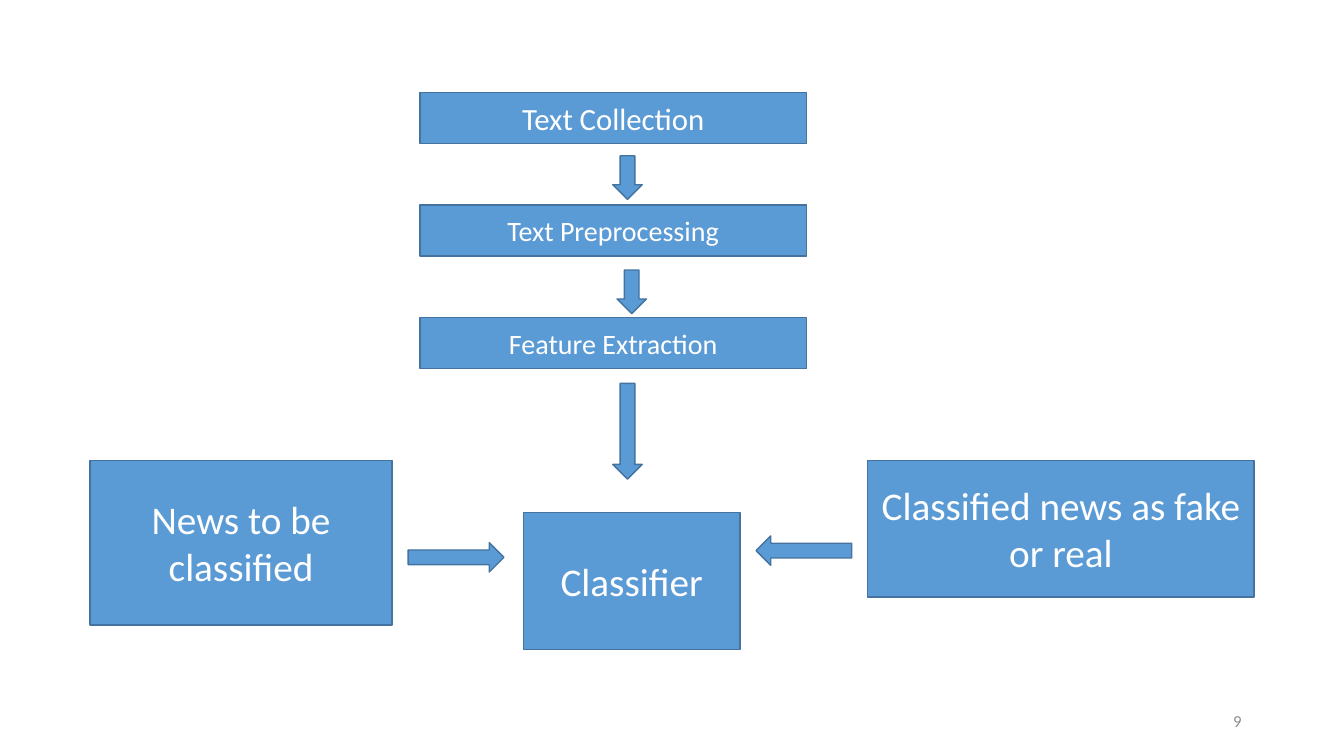
from pptx import Presentation
from pptx.dml.color import RGBColor
from pptx.enum.shapes import MSO_SHAPE as Shape
from pptx.enum.text import MSO_ANCHOR as Anchor, PP_ALIGN as Align
from pptx.util import Inches, Pt

BLUE = RGBColor(0x5B, 0x9B, 0xD5)
EDGE = RGBColor(0x43, 0x73, 0x9E)
WHITE = RGBColor(0xFF, 0xFF, 0xFF)
GRAY = RGBColor(0x8C, 0x8C, 0x8C)
COLS, ROWS = 160, 90
STAGES = [("Text Collection", 22), ("Text Preprocessing", 20), ("Feature Extraction", 20)]
BLOCKS = [
    ("Classified news as fake or real", (103.3, 54.8, 46, 16.3)),
    ("Classifier", (62.3, 61, 25.8, 16.3)),
    ("News to be classified", (10.7, 54.8, 36, 19.6)),
]
SHORT, LONG = 5.2, 11.4
ARROWS = [
    (72.1, 19.4, SHORT, 90),
    (69, 49.6, LONG, 90),
    (72.6, 33, SHORT, 90),
    (90, 63.8, LONG, 180),
    (48.6, 64.6, LONG, 0),
]


class Flow:
    """Draws flowchart parts on a grid of columns and rows."""

    def __init__(self, deck):
        self.font = "Calibri"
        self.col = deck.slide_width / COLS
        self.row = deck.slide_height / ROWS
        self.slide = deck.slides.add_slide(deck.slide_layouts[6])

    def area(self, x, y, w, h):
        """Turns grid cells into slide lengths."""
        return [round(n) for n in (x * self.col, y * self.row, w * self.col, h * self.row)]

    def label(self, shape, text, size, color, align):
        """Sets one line of styled text in a shape."""
        frame = shape.text_frame
        frame.word_wrap = True
        frame.vertical_anchor = Anchor.MIDDLE
        para = frame.paragraphs[0]
        para.alignment = align
        run = para.add_run()
        run.text = text
        run.font.name = self.font
        run.font.size = Pt(size)
        run.font.color.rgb = color

    def form(self, kind, cells):
        """Adds a blue shape with a thin edge."""
        shape = self.slide.shapes.add_shape(kind, *self.area(*cells))
        shape.shadow.inherit = False
        shape.fill.solid()
        shape.fill.fore_color.rgb = BLUE
        shape.line.color.rgb = EDGE
        shape.line.width = Pt(1)
        return shape

    def box(self, text, cells, size):
        """Adds a labelled rectangle."""
        self.label(self.form(Shape.RECTANGLE, cells), text, size, WHITE, Align.CENTER)

    def arrow(self, x, y, length, turn):
        """Adds a turned block arrow."""
        self.form(Shape.RIGHT_ARROW, (x, y, length, 3.5)).rotation = turn

    def number(self, text, cells):
        """Adds the page number."""
        page = self.slide.shapes.add_textbox(*self.area(*cells))
        self.label(page, text, 12, GRAY, Align.RIGHT)


def main():
    """Builds and saves the slide."""
    deck = Presentation()
    deck.slide_width, deck.slide_height = Inches(13.33), Inches(7.5)
    flow = Flow(deck)
    flow.number("9", (113, 83.4, 36, 4.8))
    for step, (text, size) in enumerate(STAGES):
        flow.box(text, (50, 11 + 13.4 * step, 46, 6.1), size)
    for text, cells in BLOCKS:
        flow.box(text, cells, 28)
    for arrow in ARROWS:
        flow.arrow(*arrow)
    deck.save("out.pptx")


if __name__ == "__main__":
    main()
